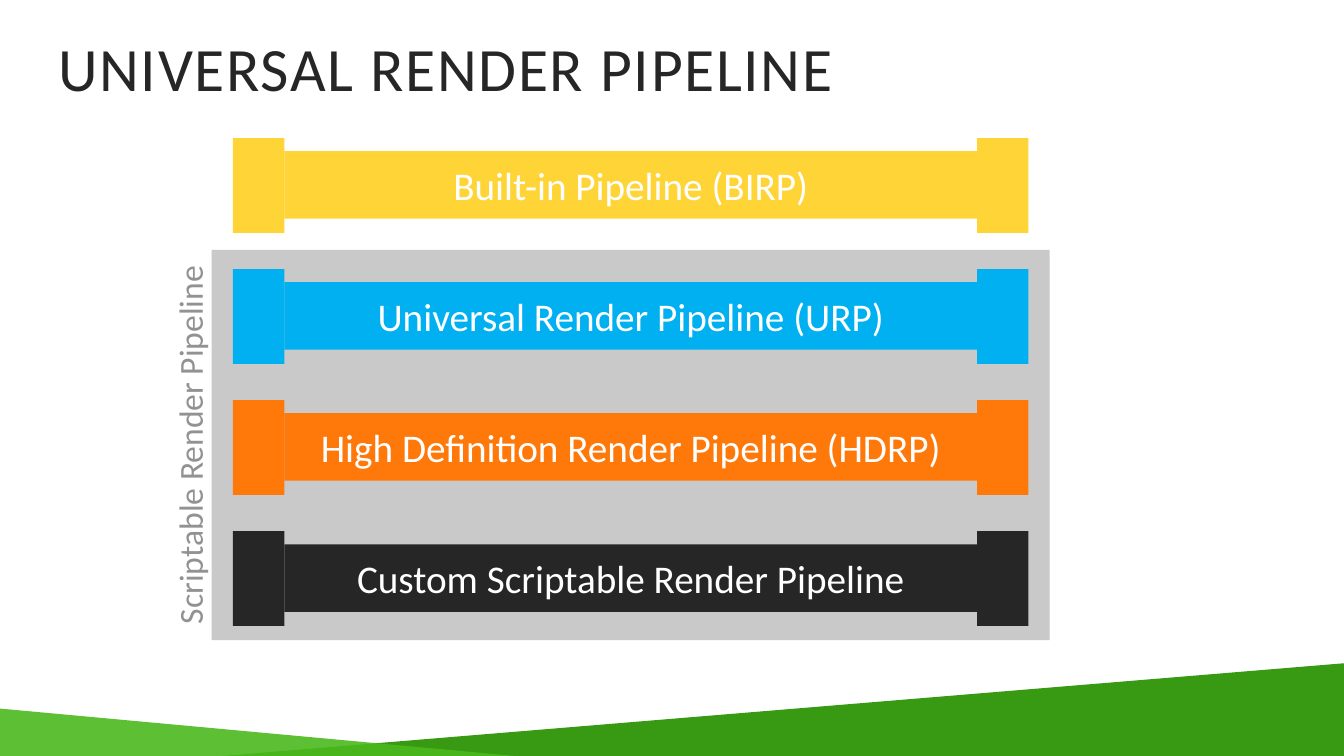
from pptx import Presentation
from pptx.dml.color import RGBColor
from pptx.enum.shapes import MSO_SHAPE
from pptx.enum.text import MSO_ANCHOR, PP_ALIGN
from pptx.oxml.ns import qn
from pptx.util import Inches, Pt
from lxml import etree

COLORS = {
    "gold": "FFD437", "blue": "00B0F0", "orange": "FE780A", "dark": "262626",
    "panel": "C9C9C9", "label": "929292", "white": "FFFFFF",
    "green": "389912", "lime": "4BB91E",
}
TITLE = "UNIVERSAL RENDER PIPELINE"
GROUP = "Scriptable Render Pipeline"
PIPES = [
    ("Built-in Pipeline (BIRP)", "gold"),
    ("Universal Render Pipeline (URP)", "blue"),
    ("High Definition Render Pipeline (HDRP)", "orange"),
    ("Custom Scriptable Render Pipeline", "dark"),
]
HILLS = [
    ([(13.33, 6.58), (13.33, 7.5), (2.2, 7.5)], "green", 100),
    ([(0, 7.03), (5.11, 7.5), (0, 7.5)], "lime", 90),
]
LEFT, TOP, STEP = 2.31, 1.37, 1.3
CAP_W, CAP_H = 0.51, 0.94
BAR_W, BAR_H, DROP = 6.87, 0.67, 0.13

deck = Presentation()
deck.slide_width, deck.slide_height = Inches(13.33), Inches(7.5)
slide = deck.slides.add_slide(deck.slide_layouts[6])
shapes = slide.shapes


def paint(shape, color, alpha=100):
    shape.shadow.inherit = False
    shape.fill.solid()
    shape.fill.fore_color.rgb = RGBColor.from_string(COLORS[color])
    shape.line.fill.background()
    if alpha < 100:
        tint = shape.fill._xPr.find(qn("a:solidFill"))[0]
        etree.SubElement(tint, qn("a:alpha")).set("val", str(alpha * 1000))


def block(x, y, w, h, color):
    shape = shapes.add_shape(MSO_SHAPE.RECTANGLE, *map(Inches, (x, y, w, h)))
    paint(shape, color)
    return shape


def write(shape, text, size=28, color="white", align=PP_ALIGN.CENTER,
          anchor=MSO_ANCHOR.MIDDLE, lead=1.0, track=0):
    frame = shape.text_frame
    frame.word_wrap = True
    frame.vertical_anchor = anchor
    para = frame.paragraphs[0]
    para.alignment = align
    para.line_spacing = lead
    run = para.add_run()
    run.text = text
    run.font.name = "Calibri"
    run.font.size = Pt(size)
    run.font.color.rgb = RGBColor.from_string(COLORS[color])
    if track:
        run.font._element.set("spc", str(track))


def pipe(row, text, color):
    y = TOP + row * STEP
    bar = block(LEFT + CAP_W, y + DROP, BAR_W, BAR_H, color)
    write(bar, text)
    for x in (LEFT, LEFT + CAP_W + BAR_W):
        block(x, y, CAP_W, CAP_H, color)


for points, color, alpha in HILLS:
    spots = [(Inches(x), Inches(y)) for x, y in points]
    path = shapes.build_freeform(*spots[0])
    path.add_line_segments(spots[1:], close=True)
    paint(path.convert_to_shape(), color, alpha)

title = shapes.add_textbox(*map(Inches, (0.48, 0.24, 12.41, 0.94)))
write(title, TITLE, size=44, color="dark", align=PP_ALIGN.LEFT, lead=0.9, track=120)

block(2.1, 2.48, 8.31, 3.87, "panel")
label = shapes.add_textbox(*map(Inches, (-0.09, 4.16, 3.87, 0.51)))
label.rotation = 270
write(label, GROUP, size=24, color="label", anchor=MSO_ANCHOR.TOP, lead=1.1)

for row, (text, color) in enumerate(PIPES):
    pipe(row, text, color)

deck.save("out.pptx")
